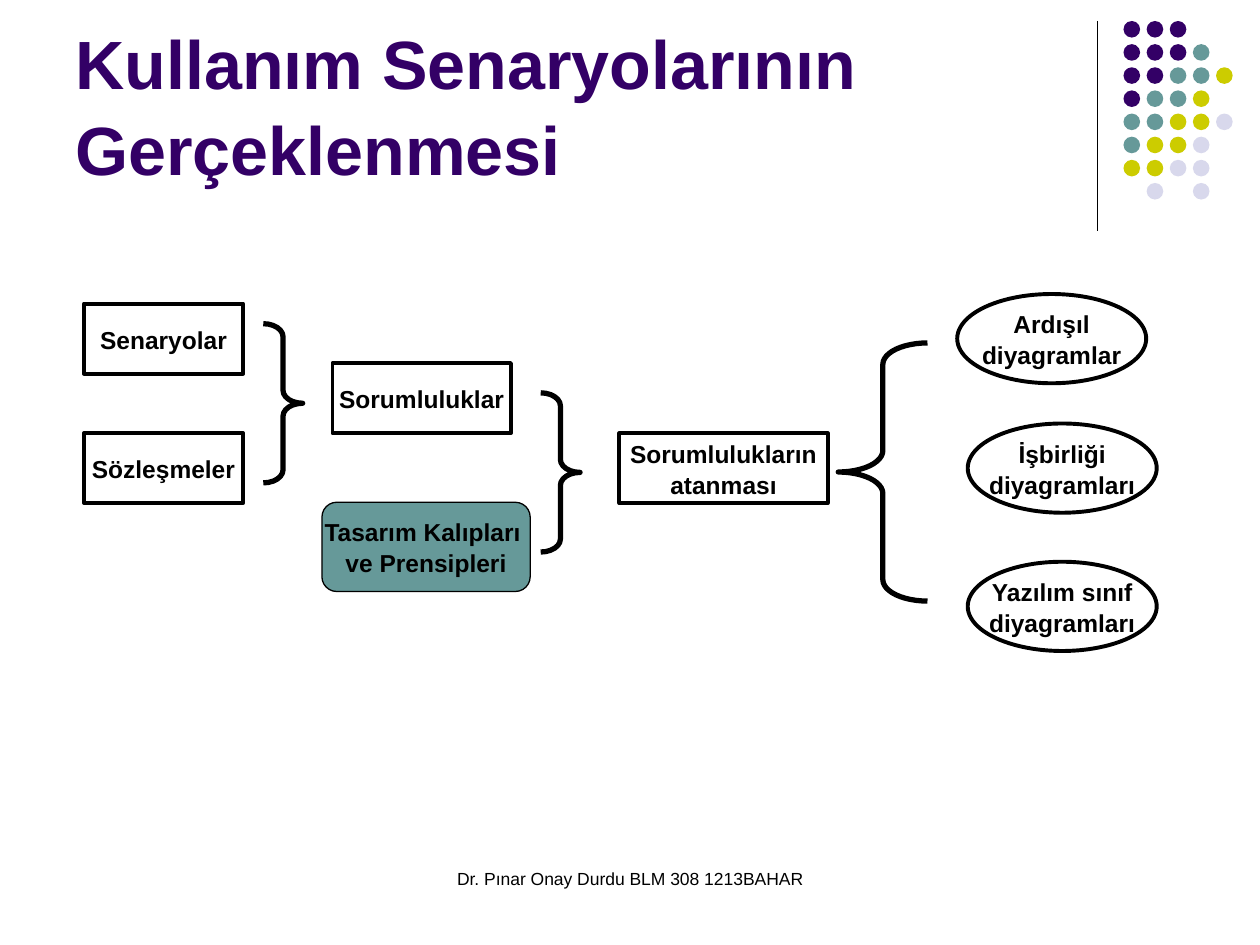
from pptx import Presentation
from pptx.util import Pt
from pptx.dml.color import RGBColor
from pptx.enum.shapes import MSO_SHAPE, MSO_CONNECTOR
from pptx.enum.text import PP_ALIGN, MSO_ANCHOR
from pptx.oxml.ns import qn
from lxml.etree import SubElement

HUES = {"ink": "000000", "plum": "330066", "teal": "669999", "lime": "CCCC00", "mist": "D8D8EC"}


def paint(shape, fill, line):
    shape.shadow.inherit = False
    if fill:
        shape.fill.solid()
        shape.fill.fore_color.rgb = RGBColor.from_string(HUES[fill])
    else:
        shape.fill.background()
    if line:
        shape.line.color.rgb = RGBColor.from_string(HUES["ink"])
        shape.line.width = Pt(line)
    else:
        shape.line.fill.background()


def write(shape, lines, size, hue="ink", bold=True, align=PP_ALIGN.CENTER, anchor=MSO_ANCHOR.MIDDLE, wrap=False):
    frame = shape.text_frame
    frame.word_wrap = wrap
    frame.vertical_anchor = anchor
    for num, line in enumerate(lines):
        para = frame.add_paragraph() if num else frame.paragraphs[0]
        para.alignment = align
        para.line_spacing = 1.05
        run = para.add_run()
        run.text = line
        run.font.name = "Arial"
        run.font.size = Pt(size)
        run.font.bold = bold
        run.font.color.rgb = RGBColor.from_string(HUES[hue])


deck = Presentation()
deck.slide_width, deck.slide_height = Pt(720), Pt(540)
slide = deck.slides.add_slide(deck.slide_layouts[6])
shapes = slide.shapes

rule = shapes.add_connector(MSO_CONNECTOR.STRAIGHT, Pt(627), Pt(12), Pt(627), Pt(132))
rule.line.color.rgb = RGBColor.from_string(HUES["ink"])
rule.line.width = Pt(0.75)
SubElement(rule._element.spPr, qn("a:effectLst"))

dots = ["ppp", "pppt", "ppttl", "pttl", "ttllm", "tllm", "llmm", " m m"]
keys = {"p": "plum", "t": "teal", "l": "lime", "m": "mist"}
for row, marks in enumerate(dots):
    for col, mark in enumerate(marks):
        if mark in keys:
            dot = shapes.add_shape(MSO_SHAPE.OVAL, Pt(642 + 13.22 * col), Pt(12 + 13.22 * row), Pt(9.5), Pt(9.5))
            paint(dot, keys[mark], 0)

foot = shapes.add_textbox(Pt(246), Pt(492), Pt(228), Pt(36))
write(foot, ["Dr. Pınar Onay Durdu BLM 308 1213BAHAR"], 10, bold=False, anchor=MSO_ANCHOR.TOP, wrap=True)
title = shapes.add_textbox(Pt(36), Pt(9.5), Pt(594), Pt(102))
write(title, ["Kullanım Senaryolarının Gerçeklenmesi"], 39, "plum", align=PP_ALIGN.LEFT,
      anchor=MSO_ANCHOR.BOTTOM, wrap=True)

rect, pill, oval = MSO_SHAPE.RECTANGLE, MSO_SHAPE.ROUNDED_RECTANGLE, MSO_SHAPE.OVAL
nodes = [
    (rect, 48, 173.5, 91, 40, None, 2.25, ["Senaryolar"]),
    (rect, 48, 247.5, 91, 40, None, 2.25, ["Sözleşmeler"]),
    (rect, 190, 207.5, 102, 40, None, 2.25, ["Sorumluluklar"]),
    (pill, 184, 287, 119, 51, "teal", 0.75, ["Tasarım Kalıpları ", "ve Prensipleri"]),
    (rect, 354, 247.5, 119, 40, None, 2.25, ["Sorumlulukların", "atanması"]),
    (oval, 547, 168, 108, 51, None, 2.25, ["Ardışıl", "diyagramlar"]),
    (oval, 553, 242, 108, 51, None, 2.25, ["İşbirliği", "diyagramları"]),
    (oval, 553, 321, 108, 51, None, 2.25, ["Yazılım sınıf", "diyagramları"]),
]
for kind, left, top, width, height, fill, line, lines in nodes:
    node = shapes.add_shape(kind, Pt(left), Pt(top), Pt(width), Pt(height))
    paint(node, fill, line)
    write(node, lines, 14)

braces = [
    (MSO_SHAPE.RIGHT_BRACE, 150.5, 185, 22.5, 91, 0.33),
    (MSO_SHAPE.RIGHT_BRACE, 309, 224.5, 22.5, 91, 0.33),
    (MSO_SHAPE.LEFT_BRACE, 479, 196, 51, 147.5, 0.24),
]
for kind, left, top, width, height, bend in braces:
    brace = shapes.add_shape(kind, Pt(left), Pt(top), Pt(width), Pt(height))
    brace.adjustments[0] = bend
    paint(brace, None, 3)

deck.save("out.pptx")
